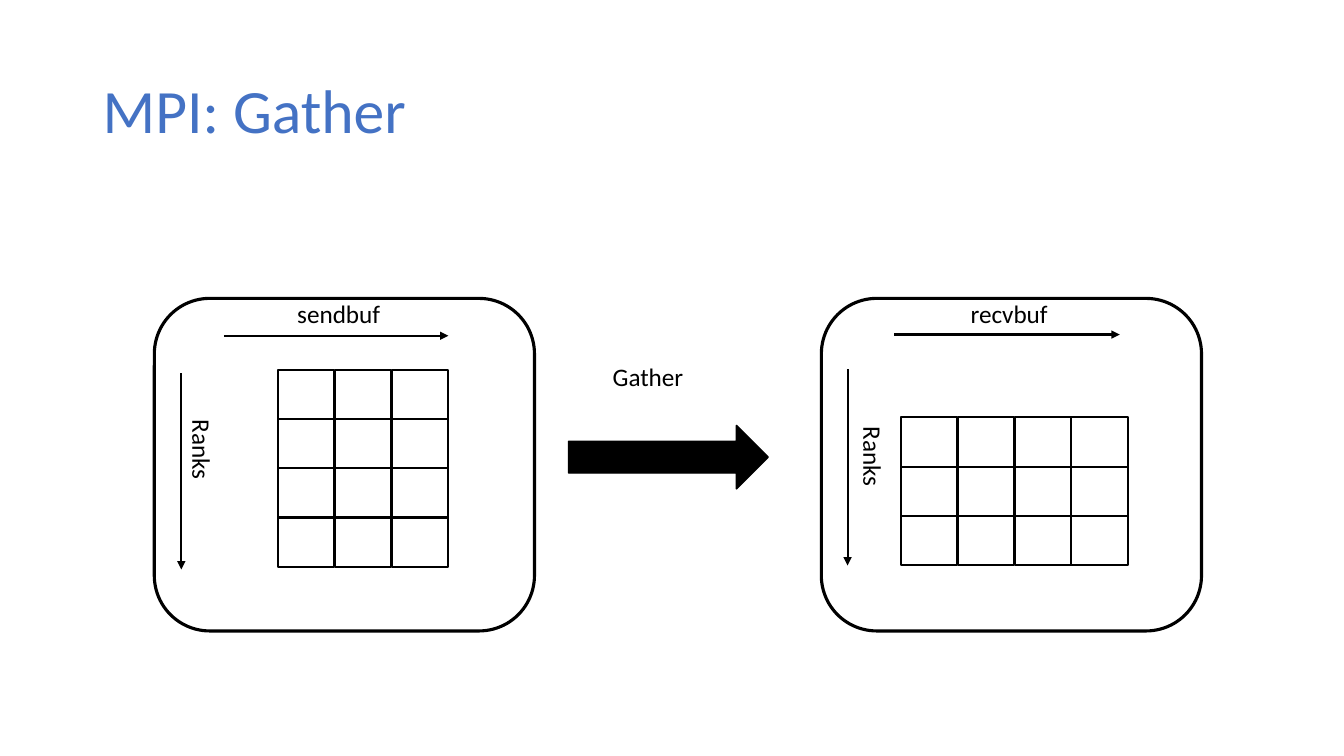
import pptx
import pptx.util
import pptx.dml.color
import pptx.enum.shapes
import pptx.enum.text
import lxml.etree

Cm = pptx.util.Cm
Pt = pptx.util.Pt
kinds = pptx.enum.shapes.MSO_SHAPE
straight = pptx.enum.shapes.MSO_CONNECTOR.STRAIGHT
anchor = pptx.enum.text.MSO_ANCHOR


def color(code):
    return pptx.dml.color.RGBColor.from_string(code)


def label(text, left, top, width, height, size=18, ink="000000", turn=0, **frame):
    box = slide.shapes.add_textbox(Cm(left), Cm(top), Cm(width), Cm(height))
    box.rotation = turn
    for name, value in ({"word_wrap": True} | frame).items():
        setattr(box.text_frame, name, value)
    para = box.text_frame.paragraphs[0]
    para.text = text
    for name, value in {"name": "Calibri", "size": Pt(size)}.items():
        setattr(para.font, name, value)
    para.font.color.rgb = color(ink)
    return para


deck = pptx.Presentation()
deck.slide_width = Cm(33.87)
deck.slide_height = Cm(19.05)
slide = deck.slides.add_slide(deck.slide_layouts[6])

title = label("MPI: Gather", 2.34, 1.02, 29.21, 3.68, 44, "4472C4",
              vertical_anchor=anchor.MIDDLE)
title.line_spacing = 0.9

panels = [
    {"left": 3.89, "grid": (7.01, 9.32), "rows": 4, "cols": 3,
     "name": ("sendbuf", 7.24), "ranks": (3.71, 11.2),
     "lines": [(5.64, 8.46, 11.3, 8.46), (4.57, 9.4, 4.57, 14.35)]},
    {"left": 20.7, "grid": (22.71, 10.52), "rows": 3, "cols": 4,
     "name": ("recvbuf", 24.21), "ranks": (20.62, 11.38),
     "lines": [(22.53, 8.43, 28.22, 8.43), (21.36, 9.3, 21.36, 14.25)]},
]

shapes = [(kinds.RIGHT_ARROW, 14.33, 10.72, 5.03, 1.6, "000000", 1)]
for panel in panels:
    shapes.append((kinds.ROUNDED_RECTANGLE, panel["left"], 7.52, 9.58, 8.38, "FFFFFF", 2.25))
    left, top = panel["grid"]
    for row in range(panel["rows"]):
        for col in range(panel["cols"]):
            shapes.append((kinds.RECTANGLE, left + col * 1.43, top + row * 1.24,
                           1.42, 1.24, "FFFFFF", 1.5))

for kind, left, top, width, height, fill, weight in shapes:
    shape = slide.shapes.add_shape(kind, Cm(left), Cm(top), Cm(width), Cm(height))
    shape.shadow.inherit = False
    shape.fill.solid()
    shape.fill.fore_color.rgb = color(fill)
    shape.line.color.rgb = color("000000")
    shape.line.width = Pt(weight)

for panel in panels:
    name, left = panel["name"]
    label(name, left, 7.39, 2.77, 1.02)
    label("Ranks", *panel["ranks"], 2.77, 1.02, turn=90)
    for ends in panel["lines"]:
        arrow = slide.shapes.add_connector(straight, *map(Cm, ends))
        arrow.line.color.rgb = color("000000")
        arrow.line.width = Pt(1.5)
        space = "{" + arrow.element.nsmap["a"] + "}"
        lxml.etree.SubElement(arrow.line._ln, space + "tailEnd", type="triangle")
        lxml.etree.SubElement(arrow.element.spPr, space + "effectLst")

label("Gather", 15.19, 8.99, 2.31, 1.02, word_wrap=False)

deck.save("out.pptx")
